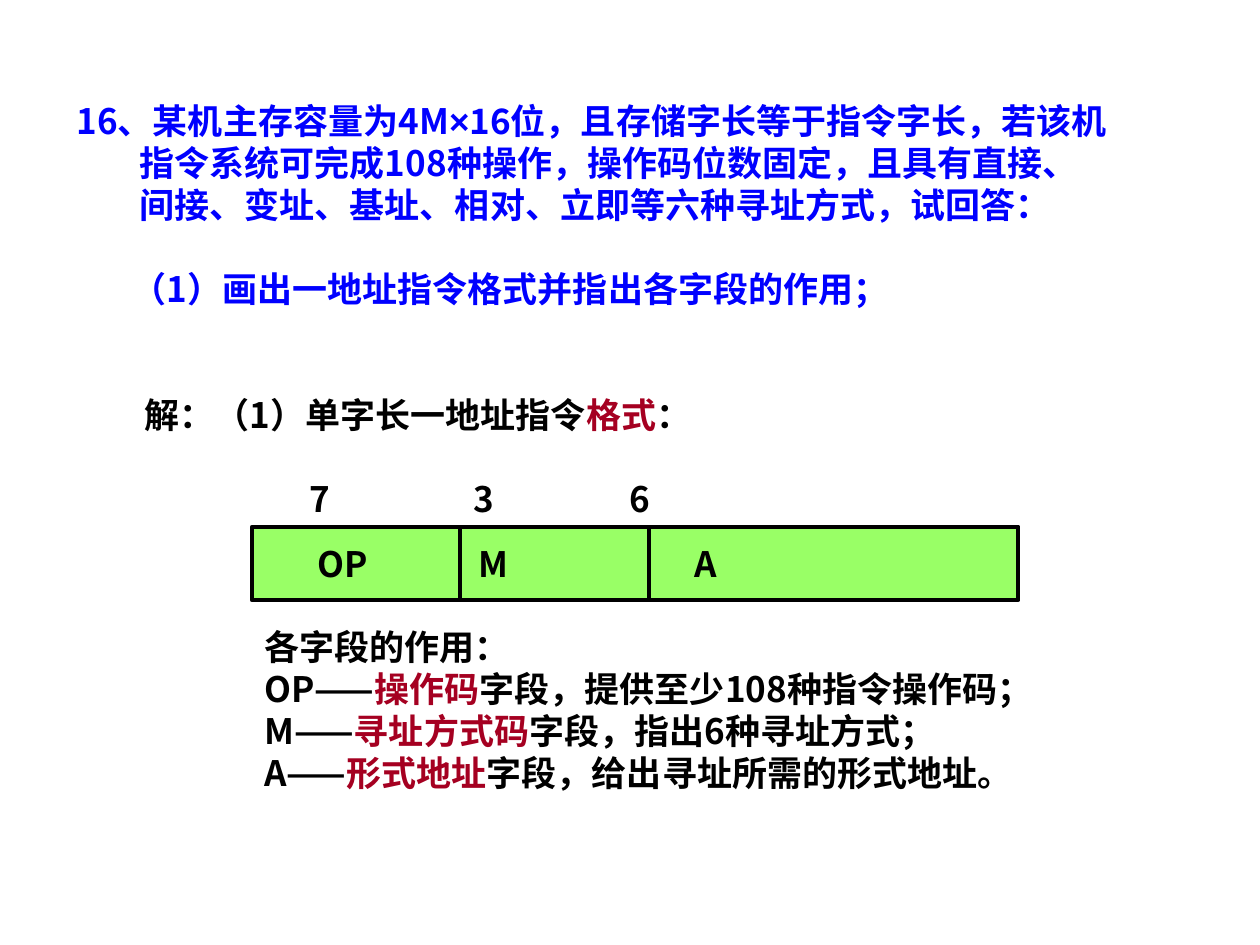
from dataclasses import dataclass

from lxml.etree import SubElement
from pptx import Presentation
from pptx.dml.color import RGBColor as RGB
from pptx.enum.shapes import MSO_CONNECTOR as Connector, MSO_SHAPE as Shape
from pptx.enum.text import MSO_ANCHOR as Anchor, MSO_AUTO_SIZE as AutoSize, PP_ALIGN as Align
from pptx.oxml.ns import qn
from pptx.util import Pt


@dataclass(frozen=True)
class Theme:
    font: str = "Noto Sans CJK SC"
    symbol_font: str = "Arial"
    size: float = 20
    leading: float = 24
    question: RGB = RGB(0x00, 0x00, 0xFF)
    ink: RGB = RGB(0x00, 0x00, 0x00)
    keyword: RGB = RGB(0xA5, 0x00, 0x21)
    field_fill: RGB = RGB(0x99, 0xFF, 0x66)
    line_width: float = 2.25


class SlideBuilder:
    def __init__(self, slide, theme):
        self.slide = slide
        self.theme = theme

    def frame(self, shape, top_inset):
        frame = shape.text_frame
        frame.word_wrap = True
        frame.auto_size = AutoSize.NONE
        frame.vertical_anchor = Anchor.TOP
        frame.margin_left = frame.margin_right = Pt(7.2)
        frame.margin_top, frame.margin_bottom = Pt(top_inset), Pt(3.6)
        return frame

    def paragraph(self, frame, runs, color=None, left=0, hanging=0, before=0):
        """Add a paragraph of (text, color, font) runs; newlines become line breaks."""
        theme = self.theme
        first = frame.paragraphs[0]
        paragraph = first if not first.runs else frame.add_paragraph()
        paragraph.alignment = Align.LEFT
        paragraph.line_spacing = Pt(theme.leading)
        paragraph.space_before = Pt(before)
        properties = paragraph._p.get_or_add_pPr()
        properties.set("marL", str(Pt(left)))
        properties.set("indent", str(-Pt(hanging)))
        font = paragraph.font
        font.name, font.size, font.bold = theme.font, Pt(theme.size), True
        font.color.rgb = color or theme.ink
        SubElement(properties.find(qn("a:defRPr")), qn("a:ea"), typeface=theme.font)
        for text, run_color, run_font in runs:
            for number, line in enumerate(text.split("\n")):
                if number:
                    paragraph.add_line_break()
                run = paragraph.add_run()
                run.text = line
                if run_color:
                    run.font.color.rgb = run_color
                if run_font:
                    run.font.name = run_font

    def title(self, left, top, width, height, top_inset):
        title = self.slide.shapes.title
        title.left, title.top, title.width, title.height = map(Pt, (left, top, width, height))
        return self.frame(title, top_inset)

    def text_box(self, left, top, width, height, top_inset=3.6):
        box = self.slide.shapes.add_textbox(*map(Pt, (left, top, width, height)))
        return self.frame(box, top_inset)

    def label_row(self, top, labels):
        """Place short (text, left) labels side by side at one height."""
        for text, left in labels:
            self.paragraph(self.text_box(left, top, 70, 32), [plain(text)])

    def field_bar(self, left, top, width, height, dividers):
        """Draw an instruction word split into fields by vertical dividers."""
        theme = self.theme
        group = self.slide.shapes.add_group_shape()
        bar = group.shapes.add_shape(Shape.RECTANGLE, *map(Pt, (left, top, width, height)))
        bar.shadow.inherit = False
        bar.fill.solid()
        bar.fill.fore_color.rgb = theme.field_fill
        self.outline(bar)
        for x in dividers:
            divider = group.shapes.add_connector(
                Connector.STRAIGHT, Pt(x), Pt(top), Pt(x), Pt(top + height))
            self.outline(divider)
            SubElement(divider._element.spPr, qn("a:effectLst"))

    def outline(self, shape):
        shape.line.color.rgb = self.theme.ink
        shape.line.width = Pt(self.theme.line_width)


def plain(text):
    return text, None, None


def main():
    theme = Theme()
    deck = Presentation()
    deck.slide_width, deck.slide_height = Pt(720), Pt(540)
    builder = SlideBuilder(deck.slides.add_slide(deck.slide_layouts[5]), theme)

    question = builder.title(0, 12, 720, 234, top_inset=45)
    builder.paragraph(question, [
        plain("16、某机主存容量为4M"),
        ("×", None, theme.symbol_font),
        plain("16位，且存储字长等于指令字长，若该机\n"
              "指令系统可完成108种操作，操作码位数固定，且具有直接、\n"
              "间接、变址、基址、相对、立即等六种寻址方式，试回答："),
    ], theme.question, left=72.5, hanging=36)
    builder.paragraph(question, [plain("（1）画出一地址指令格式并指出各字段的作用；")],
                      theme.question, left=68, before=theme.leading)

    answer = builder.text_box(12, 210, 480, 48, top_inset=15)
    builder.paragraph(answer, [
        plain("解：（1）单字长一地址指令"), ("格式", theme.keyword, None), plain("："),
    ], left=63.5)

    builder.label_row(269.5, (("7", 170), ("3", 263.5), ("6", 352.5)))
    builder.field_bar(144, 301, 438, 42, dividers=(262.8, 370.8))
    builder.label_row(306.5, (("OP", 174.5), ("M", 266.5), ("A", 389.5)))

    roles = builder.text_box(144, 354, 504, 104)
    builder.paragraph(roles, [plain("各字段的作用：")])
    for field, keyword, role in (
        ("OP", "操作码", "字段，提供至少108种指令操作码；"),
        ("M", "寻址方式码", "字段，指出6种寻址方式；"),
        ("A", "形式地址", "字段，给出寻址所需的形式地址。"),
    ):
        builder.paragraph(roles, [
            plain(field + "——"), (keyword, theme.keyword, None), plain(role)])

    deck.save("out.pptx")


if __name__ == "__main__":
    main()
